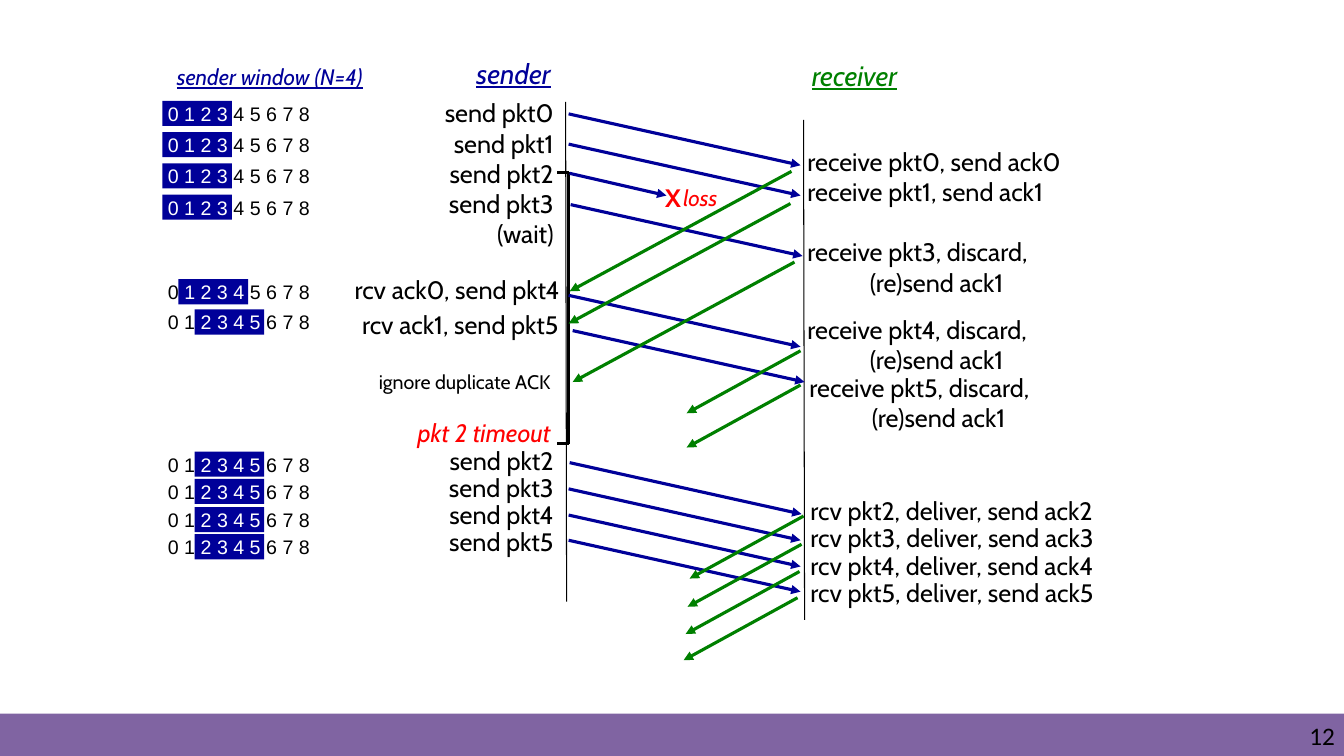
from dataclasses import dataclass

from pptx import Presentation
from pptx.dml.color import RGBColor
from pptx.enum.shapes import MSO_CONNECTOR, MSO_SHAPE
from pptx.enum.text import PP_ALIGN
from pptx.oxml.ns import qn
from pptx.util import Inches, Pt
from lxml.etree import SubElement

BLACK = RGBColor(0x00, 0x00, 0x00)
WHITE = RGBColor(0xFF, 0xFF, 0xFF)
NAVY = RGBColor(0x00, 0x00, 0x99)
GREEN = RGBColor(0x00, 0x80, 0x00)
RED = RGBColor(0xFF, 0x00, 0x00)
PURPLE = RGBColor(0x80, 0x64, 0xA2)

TITLE = {"size": Pt(20), "italic": True, "underline": True}
RESEND = "(re)send ack1"
RESEND_INDENT = 0.62
BLANK_LINE = Pt(21.6)


@dataclass
class Box:
    """A rectangle in inches."""

    left: float
    top: float
    width: float
    height: float

    def inner(self, left, top, width, height):
        """Return a box placed relative to this one."""
        return Box(self.left + left, self.top + top, width, height)

    def lengths(self):
        """Return the four measures as slide lengths."""
        return [Inches(v) for v in (self.left, self.top, self.width, self.height)]


def add_text(page, box, lines, color=BLACK, align=PP_ALIGN.LEFT, spacing=None, **style):
    """Write lines, each a string or a list of (words, color) spans, and return the frame."""
    frame = page.shapes.add_textbox(*box.lengths()).text_frame
    frame.word_wrap = True
    formats = {"name": "Cabin", "size": Pt(18), **style}
    for index, line in enumerate(lines):
        para = frame.add_paragraph() if index else frame.paragraphs[0]
        para.alignment = align
        if spacing:
            para.line_spacing = spacing
        if line == RESEND:
            para._p.get_or_add_pPr().set("marL", str(Inches(RESEND_INDENT)))
        for words, shade in [(line, color)] if isinstance(line, str) else line:
            span = para.add_run()
            span.text = words
            span.font.color.rgb = shade
            for name, value in formats.items():
                setattr(span.font, name, value)
    return frame


def add_block(page, box, color):
    """Add a plain filled rectangle."""
    block = page.shapes.add_shape(MSO_SHAPE.RECTANGLE, *box.lengths())
    block.shadow.inherit = False
    block.fill.solid()
    block.fill.fore_color.rgb = color
    block.line.fill.background()


def add_line(page, box, start, reach, color=BLACK, width=2.25, arrow=False):
    """Draw a line from start, running by reach, inside a box."""
    left, top = box.left + start[0], box.top + start[1]
    ends = (left, top, left + reach[0], top + reach[1])
    line = page.shapes.add_connector(MSO_CONNECTOR.STRAIGHT, *[Inches(end) for end in ends])
    line.line.color.rgb = color
    line.line.width = Pt(width)
    properties = line._element.spPr
    if arrow:
        SubElement(properties.find(qn("a:ln")), qn("a:tailEnd"), type="triangle")
    SubElement(properties, qn("a:effectLst"))


def add_footer(page, box):
    """Draw the bottom band and the page number."""
    add_block(page, box, PURPLE)
    frame = add_text(page, box.inner(10.17, 0.07, 3.07, 0.3), ["12"],
                     align=PP_ALIGN.RIGHT, name="Calibri")
    for side in ("left", "right", "top", "bottom"):
        setattr(frame, f"margin_{side}", 0)


def add_windows(page, box):
    """Draw the window heading and one row of sequence numbers per event."""
    add_text(page, box.inner(-0.1, 0, 2.55, 0.37), ["sender window (N=4)"], NAVY,
             PP_ALIGN.CENTER, **{**TITLE, "size": Pt(16)})
    rows = [(0.42, 0), (0.73, 0), (1.04, 0), (1.35, 0), (2.19, 1), (2.49, 2),
            (3.9, 2), (4.17, 2), (4.45, 2), (4.72, 2)]
    for top, base in rows:
        add_block(page, box.inner(0.11 + 0.16 * base, top, 0.69, 0.25), NAVY)
        spans = [(f"{number} " if number < 8 else "8",
                  WHITE if base <= number < base + 4 else BLACK) for number in range(9)]
        add_text(page, box.inner(-0.06, top - 0.04, 1.86, 0.33), [spans],
                 align=PP_ALIGN.CENTER, name="Arial", size=Pt(14))


def add_sender(page, box):
    """Write the sender's events, right-aligned beside its time line."""
    def event(right, top, height, lines, color=BLACK, **style):
        add_text(page, box.inner(box.width - 2.4 + right, top, 2.4, height), lines,
                 color, PP_ALIGN.RIGHT, **style)

    event(-0.04, 0, 0.43, ["sender"], NAVY, **TITLE)
    event(-0.01, 0.41, 1.6, [f"send pkt{n}" for n in range(4)] + ["(wait)"])
    event(0.05, 2.16, 0.4, ["rcv ack0, send pkt4"])
    event(0.04, 2.51, 0.4, ["rcv ack1, send pkt5"])
    event(-0.04, 3.11, 0.33, ["ignore duplicate ACK"], size=Pt(14))
    event(-0.04, 3.65, 0.33, ["pkt 2 timeout"], RED, spacing=0.75, italic=True)
    event(-0.01, 3.89, 1.18, [f"send pkt{n}" for n in range(2, 6)], spacing=0.9)


def add_receiver(page, box):
    """Write the receiver's events beside its time line."""
    add_text(page, box.inner(-0.02, 0, 1.17, 0.43), ["receiver"], GREEN,
             PP_ALIGN.CENTER, **TITLE)
    first = add_text(page, box.inner(0, 0.87, box.width, 1.6),
                     ["receive pkt0, send ack0", "receive pkt1, send ack1",
                      "receive pkt3, discard,", RESEND])
    first.paragraphs[2].space_before = BLANK_LINE
    for number, left, top in ((4, 0, 2.54), (5, 0.02, 3.11)):
        add_text(page, box.inner(left, top, box.width, 0.7),
                 [f"receive pkt{number}, discard,", RESEND])
    add_text(page, box.inner(0.03, 4.37, box.width, 1.18),
             [f"rcv pkt{n}, deliver, send ack{n}" for n in range(2, 6)], spacing=0.9)


def add_exchange(page, box):
    """Draw both time lines, the timeout bracket, the packets and the acks."""
    for start in ((0, 0), (2.36, 0.18)):
        add_line(page, box, start, (0.01, 4.96), width=0.75)
    add_line(page, box, (0.03, 0.7), (0, 2.69))
    for top in (0.7, 3.39):
        add_line(page, box, (0.03, top), (-0.12, 0))

    packets = [(0.03, 0.12), (0.03, 0.42), (0.05, 1.02), (0.03, 1.92), (0.07, 2.27),
               (0.04, 3.58), (0.03, 3.84), (0.03, 4.1), (0.03, 4.35)]
    received_acks = [(2.24, 0.69), (2.23, 1.01), (2.27, 1.59)]
    pending_acks = [(2.33, 2.47), (2.33, 2.81), (2.36, 4.11), (2.34, 4.39),
                    (2.32, 4.66), (2.3, 4.92)]
    flows = [(packets, (2.3, 0.51), NAVY), ([(0.04, 0.71)], (0.96, 0.22), NAVY),
             (received_acks, (-2.2, 1.19), GREEN), (pending_acks, (-1.13, 0.62), GREEN)]
    for starts, reach, color in flows:
        for start in starts:
            add_line(page, box, start, reach, color, arrow=True)

    add_text(page, box.inner(0.88, 0.75, 0.37, 0.4), ["X"], RED, PP_ALIGN.CENTER, bold=True)
    add_text(page, box.inner(0.99, 0.77, 0.69, 0.37), ["loss"], RED, PP_ALIGN.CENTER,
             size=Pt(16), italic=True)


def main():
    """Build the packet loss slide and save it."""
    deck = Presentation()
    deck.slide_width, deck.slide_height = Inches(13.33), Inches(7.5)
    page = deck.slides.add_slide(deck.slide_layouts[6])
    add_footer(page, Box(0, 7.08, 13.33, 0.42))
    add_exchange(page, Box(5.61, 1.01, 2.37, 5.6))
    add_windows(page, Box(1.5, 0.58, 2.35, 5.0))
    add_sender(page, Box(3.2, 0.51, 2.4, 5.1))
    add_receiver(page, Box(7.91, 0.53, 3.4, 5.6))
    deck.save("out.pptx")


if __name__ == "__main__":
    main()
